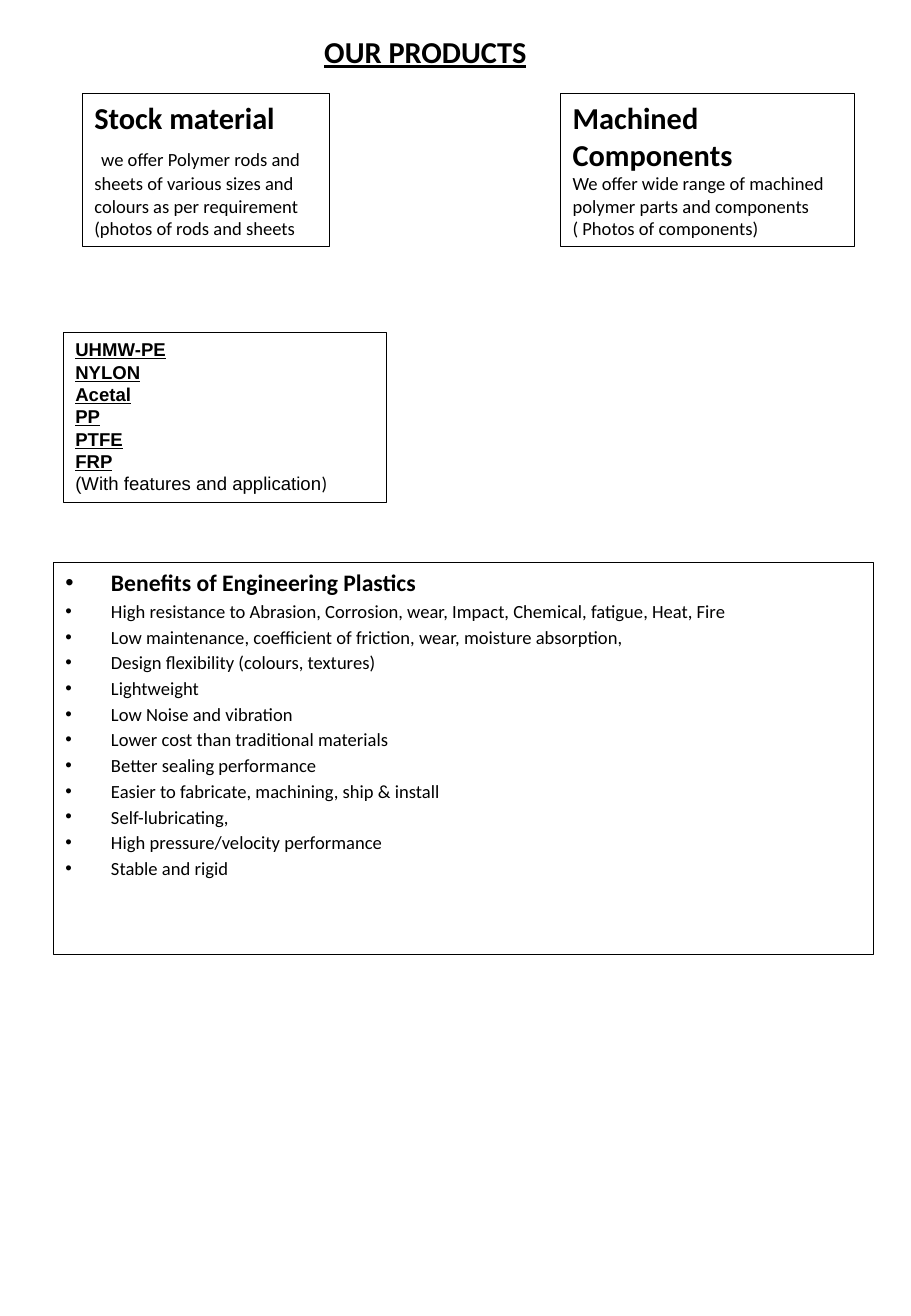
from pptx import Presentation
from pptx.dml.color import RGBColor
from pptx.enum.text import MSO_ANCHOR, MSO_AUTO_SIZE, PP_ALIGN
from pptx.oxml.xmlchemy import OxmlElement
from pptx.util import Pt

BLACK = RGBColor(0x00, 0x00, 0x00)
HEADING_SIZE = 18
BODY_SIZE = 11

PLASTICS = ["UHMW-PE", "NYLON", "Acetal", "PP", "PTFE", "FRP"]
BENEFITS = [
    "High resistance to Abrasion, Corrosion, wear, Impact, Chemical, fatigue, Heat, Fire",
    "Low maintenance, coefficient of friction, wear, moisture absorption,",
    "Design flexibility (colours, textures)",
    "Lightweight",
    "Low Noise and vibration",
    "Lower cost than traditional materials",
    "Better sealing performance",
    "Easier to fabricate, machining, ship & install",
    "Self-lubricating,",
    "High pressure/velocity performance",
    "Stable and rigid",
]


def style(font, size=BODY_SIZE, name="Calibri", bold=False, underline=False):
    font.size = Pt(size)
    font.name = name
    font.bold = bold
    font.underline = underline
    font.color.rgb = BLACK


def add_text(frame, text, **look):
    """Fill the first paragraph while the frame is empty, else append one."""
    paragraph = frame.add_paragraph() if frame.text else frame.paragraphs[0]
    paragraph.text = text
    style(paragraph.font, **look)
    return paragraph


def add_bullet(frame, text, **look):
    paragraph = add_text(frame, text, **look)
    paragraph.space_before = Pt(2)
    properties = paragraph._p.get_or_add_pPr()
    properties.set("marL", str(Pt(27)))
    properties.set("indent", str(-Pt(27)))
    for tag, key, value in (("a:buFont", "typeface", "Arial"), ("a:buChar", "char", "•")):
        bullet = OxmlElement(tag)
        bullet.set(key, value)
        properties.append(bullet)


def add_panel(slide, left, top, width, height):
    """Add an outlined text box and return its text frame."""
    panel = slide.shapes.add_textbox(Pt(left), Pt(top), Pt(width), Pt(height))
    panel.line.color.rgb = BLACK
    panel.line.width = Pt(0.75)
    panel.text_frame.word_wrap = True
    return panel.text_frame


def set_title(slide, text):
    title = slide.shapes.title
    title.left, title.top, title.width, title.height = Pt(185), Pt(16), Pt(149), Pt(29)
    frame = title.text_frame
    frame.word_wrap = False
    frame.auto_size = MSO_AUTO_SIZE.NONE
    frame.vertical_anchor = MSO_ANCHOR.TOP
    heading = add_text(frame, text, size=HEADING_SIZE, bold=True, underline=True)
    heading.alignment = PP_ALIGN.LEFT


def add_stock_material(slide):
    stock = add_panel(slide, 48.8, 55.4, 146.7, 90.7)
    add_text(stock, "Stock material", size=HEADING_SIZE, bold=True)
    offer = add_text(stock, " ")
    style(offer.runs[0].font, size=HEADING_SIZE, bold=True)
    offer.add_run().text = ("we offer Polymer rods and sheets of various sizes "
                            "and colours as per requirement")
    add_text(stock, "(photos of rods and sheets")


def add_machined_components(slide):
    machined = add_panel(slide, 332.3, 55.4, 174.3, 90.7)
    add_text(machined, "Machined Components", size=HEADING_SIZE, bold=True)
    add_text(machined, "We offer wide range of machined polymer parts and components")
    add_text(machined, "( Photos of components)")


def add_plastics(slide):
    plastics = add_panel(slide, 37.6, 197, 191.5, 100.8)
    for plastic in PLASTICS:
        add_text(plastics, plastic, name="Arial", bold=True, underline=True)
    remark = add_text(plastics, "(With features and application", name="Arial")
    closing = remark.add_run()
    closing.text = ")"
    closing.font.name = "Calibri"


def add_benefits(slide):
    benefits = add_panel(slide, 31.7, 333.3, 486, 232.5)
    add_bullet(benefits, "Benefits of Engineering Plastics", size=14, bold=True)
    for benefit in BENEFITS:
        add_bullet(benefits, benefit)


def main():
    presentation = Presentation()
    presentation.slide_width, presentation.slide_height = Pt(540), Pt(780)
    slide = presentation.slides.add_slide(presentation.slide_layouts[5])
    set_title(slide, "OUR PRODUCTS")
    add_stock_material(slide)
    add_machined_components(slide)
    add_plastics(slide)
    add_benefits(slide)
    presentation.save("out.pptx")


if __name__ == "__main__":
    main()
